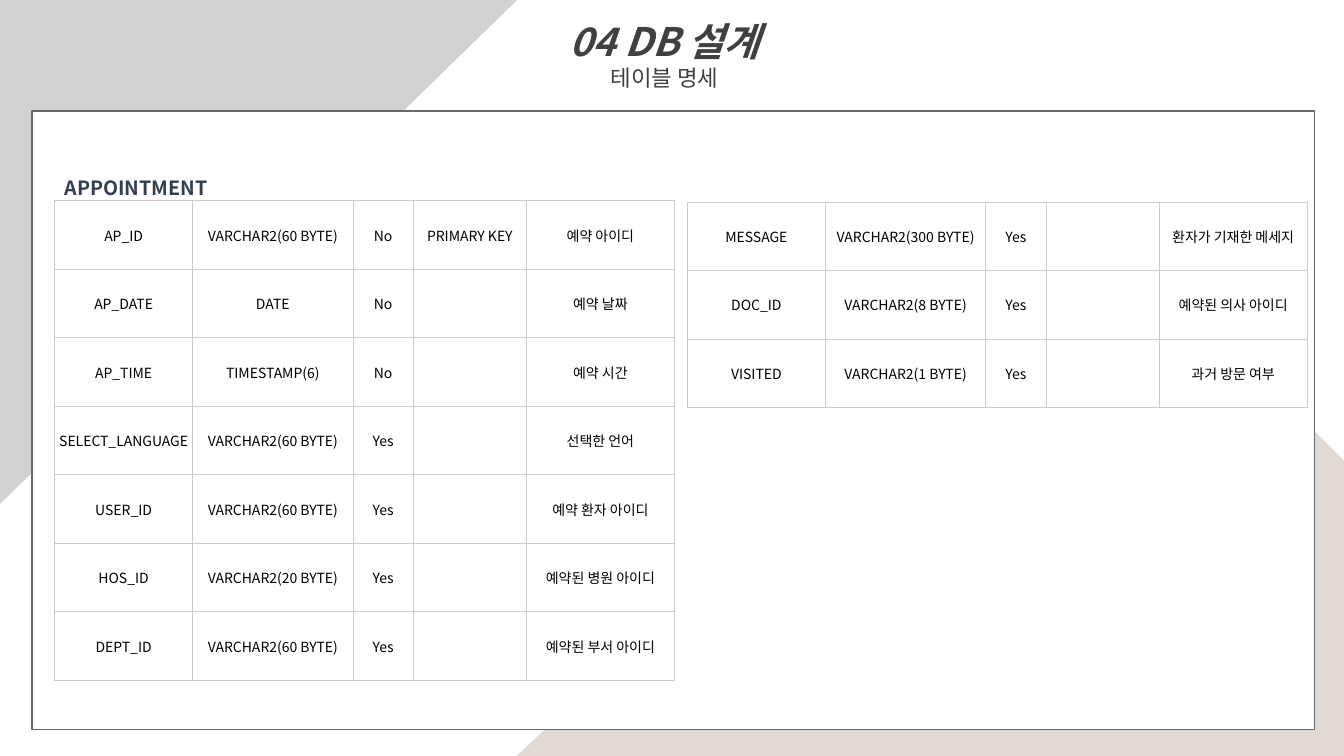
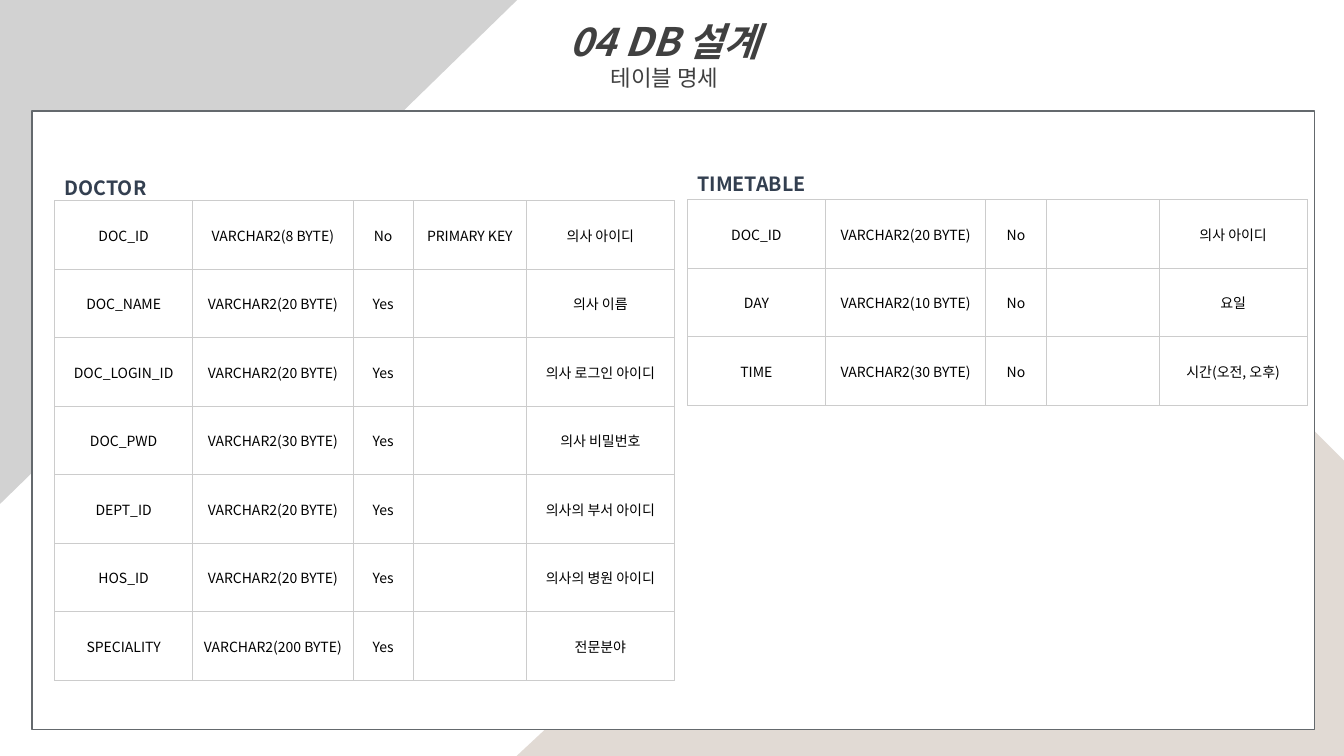
from dataclasses import dataclass

from lxml.etree import SubElement as sub
from pptx import Presentation
from pptx.dml.color import RGBColor as RGB
from pptx.enum.shapes import MSO_SHAPE as SHAPE
from pptx.enum.text import MSO_ANCHOR as ANCHOR
from pptx.enum.text import MSO_AUTO_SIZE as AUTO
from pptx.enum.text import PP_ALIGN as ALIGN
from pptx.oxml import parse_xml
from pptx.oxml.ns import nsdecls, qn
from pptx.util import Pt


@dataclass(frozen=True)
class Theme:
    """Colours, font and type sizes of the deck."""
    face: str = "Noto Sans CJK KR"
    white: str = "FFFFFF"
    sand: str = "E1DAD4"
    grey: str = "D2D2D2"
    edge: str = "64696D"
    ink: str = "404040"
    navy: str = "333F50"
    black: str = "000000"
    rule: str = "CCCCCC"
    title: int = 28
    note: int = 16
    head: int = 14
    cell: int = 10


T = Theme()
WIDE, HIGH = 960, 540
PANEL = (23, 79.2, 915.8, 442)
LEFT, RIGHT = 16, 468
COLS = (98.6, 114.5, 43.2, 80.6, 105.9)
ROW = 48.95

BOOK = [
    ("AP_ID", "VARCHAR2(60 BYTE)", "No", "PRIMARY KEY", "예약 아이디"),
    ("AP_DATE", "DATE", "No", "", "예약 날짜"),
    ("AP_TIME", "TIMESTAMP(6)", "No", "", "예약 시간"),
    ("SELECT_LANGUAGE", "VARCHAR2(60 BYTE)", "Yes", "", "선택한 언어"),
    ("USER_ID", "VARCHAR2(60 BYTE)", "Yes", "", "예약 환자 아이디"),
    ("HOS_ID", "VARCHAR2(20 BYTE)", "Yes", "", "예약된 병원 아이디"),
    ("DEPT_ID", "VARCHAR2(60 BYTE)", "Yes", "", "예약된 부서 아이디"),
]
MORE = [
    ("MESSAGE", "VARCHAR2(300 BYTE)", "Yes", "", "환자가 기재한 메세지"),
    ("DOC_ID", "VARCHAR2(8 BYTE)", "Yes", "", "예약된 의사 아이디"),
    ("VISITED", "VARCHAR2(1 BYTE)", "Yes", "", "과거 방문 여부"),
]
DOCTOR = [
    ("DOC_ID", "VARCHAR2(8 BYTE)", "No", "PRIMARY KEY", "의사 아이디"),
    ("DOC_NAME", "VARCHAR2(20 BYTE)", "Yes", "", "의사 이름"),
    ("DOC_LOGIN_ID", "VARCHAR2(20 BYTE)", "Yes", "", "의사 로그인 아이디"),
    ("DOC_PWD", "VARCHAR2(30 BYTE)", "Yes", "", "의사 비밀번호"),
    ("DEPT_ID", "VARCHAR2(20 BYTE)", "Yes", "", "의사의 부서 아이디"),
    ("HOS_ID", "VARCHAR2(20 BYTE)", "Yes", "", "의사의 병원 아이디"),
    ("SPECIALITY", "VARCHAR2(200 BYTE)", "Yes", "", "전문분야"),
]
TIMES = [
    ("DOC_ID", "VARCHAR2(20 BYTE)", "No", "", "의사 아이디"),
    ("DAY", "VARCHAR2(10 BYTE)", "No", "", "요일"),
    ("TIME", "VARCHAR2(30 BYTE)", "No", "", "시간(오전, 오후)"),
]


def pts(*nums):
    """Turn numbers into point lengths."""
    return [Pt(n) for n in nums]


def style(para, size, tint, bold=False, slant=False):
    """Format every run of a paragraph."""
    for run in para.runs:
        font = run.font
        font.size, font.bold, font.italic = Pt(size), bold, slant
        font.color.rgb = RGB.from_string(tint)
        font.name = T.face
        sub(font._element, qn("a:ea"), typeface=T.face)


def paint(shape, tint, edge=None):
    """Fill a shape and give it an edge or none."""
    shape.shadow.inherit = False
    shape.fill.solid()
    shape.fill.fore_color.rgb = RGB.from_string(tint)
    if edge:
        shape.line.color.rgb = RGB.from_string(edge)
        shape.line.width = Pt(1)
    else:
        shape.line.fill.background()


def back(slide):
    """Draw the two corners and the white panel."""
    form = slide.shapes.build_freeform(*pts(752, 183))
    form.add_line_segments([pts(*p) for p in (
        (814, 183), (WIDE, 329), (WIDE, HIGH), (369, HIGH))], close=True)
    paint(form.convert_to_shape(), T.sand)
    wedge = slide.shapes.add_shape(
        SHAPE.RIGHT_TRIANGLE, *pts(4.7, -4.7, 360, 369.4))
    wedge.rotation = 90
    paint(wedge, T.grey)
    panel = slide.shapes.add_shape(SHAPE.RECTANGLE, *pts(*PANEL))
    paint(panel, T.white, T.edge)


def banner(slide, box):
    """Set the title and its second line in a box."""
    shape = slide.shapes.title
    shape.left, shape.top, shape.width, shape.height = pts(*box)
    frame = shape.text_frame
    frame.text = "04 DB 설계\n테이블 명세"
    frame.word_wrap = True
    frame.auto_size = AUTO.SHAPE_TO_FIT_TEXT
    frame.vertical_anchor = ANCHOR.TOP
    main, note = frame.paragraphs
    for para in (main, note):
        para.alignment = ALIGN.CENTER
        para.line_spacing = 1.0
        para.space_before = Pt(0)
    style(main, T.title, T.ink, bold=True, slant=True)
    style(note, T.note, T.ink)


def label(slide, text, x, y):
    """Write the name of a table."""
    box = slide.shapes.add_textbox(*pts(x, y, sum(COLS), 29.5))
    frame = box.text_frame
    frame.word_wrap = True
    frame.auto_size = AUTO.SHAPE_TO_FIT_TEXT
    frame.text = text
    para = frame.paragraphs[0]
    para.line_spacing = 1.5
    style(para, T.head, T.navy, bold=True)


def border(cell):
    """Rule the four sides of a cell."""
    props = cell._tc.get_or_add_tcPr()
    for i, side in enumerate("LRTB"):
        props.insert(i, parse_xml(
            f'<a:ln{side} {nsdecls("a")} w="{Pt(0.5)}"><a:solidFill>'
            f'<a:srgbClr val="{T.rule}"/></a:solidFill></a:ln{side}>'))


def put(cell, text):
    """Fill one cell with centred text."""
    cell.fill.background()
    border(cell)
    cell.vertical_anchor = ANCHOR.MIDDLE
    cell.margin_left = cell.margin_right = Pt(1.5)
    cell.margin_top = cell.margin_bottom = Pt(1)
    cell.text = text
    para = cell.text_frame.paragraphs[0]
    para.alignment = ALIGN.CENTER
    style(para, T.cell, T.black)


def grid(slide, rows, x, y):
    """Place a table of columns with its top left at x, y."""
    table = slide.shapes.add_table(
        len(rows), len(COLS),
        *pts(x, y, sum(COLS), ROW * len(rows))).table
    table.first_row = table.horz_banding = False
    for col, wide in zip(table.columns, COLS):
        col.width = Pt(wide)
    for line, row in zip(table.rows, rows):
        line.height = Pt(ROW)
        for cell, text in zip(line.cells, row):
            put(cell, text)


def page(deck, first, second):
    """Add a slide with a left and a right table."""
    slide = deck.slides.add_slide(deck.slide_layouts[5])
    back(slide)
    banner(slide, (234.7, 8.6, 480.2, 60.5))
    x, y = PANEL[:2]
    for dx, (name, rows, dy, lift) in zip((LEFT, RIGHT), (first, second)):
        if name:
            label(slide, name, x + dx, y + dy - lift)
        grid(slide, rows, x + dx, y + dy)


def main():
    """Build and save the deck."""
    deck = Presentation()
    deck.slide_width, deck.slide_height = pts(WIDE, HIGH)
    page(deck, ("APPOINTMENT", BOOK, 64.2, 29.5), ("", MORE, 65, 0))
    page(deck, ("DOCTOR", DOCTOR, 64.2, 29.5), ("TIMETABLE", TIMES, 63.5, 32))
    deck.save("out.pptx")


if __name__ == "__main__":
    main()
